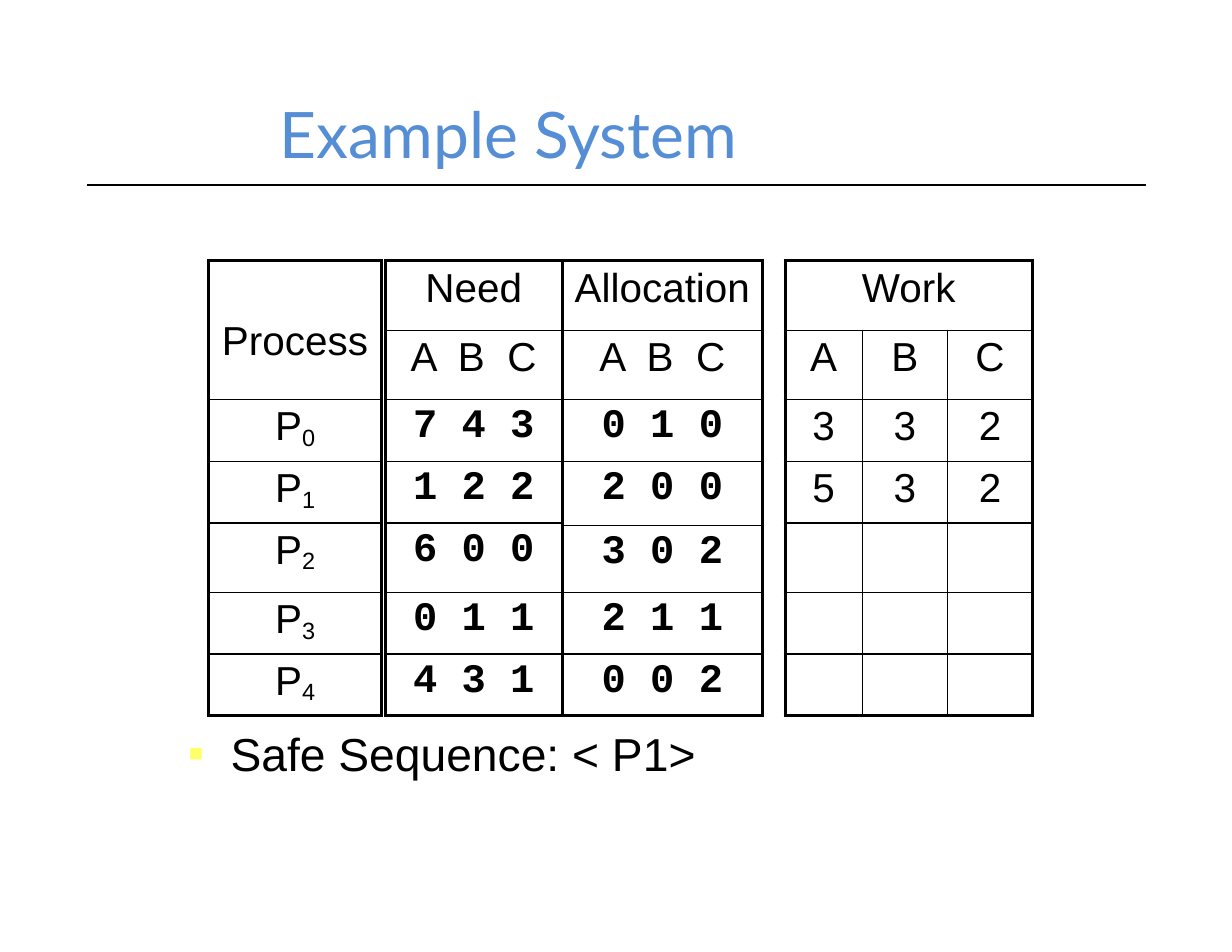
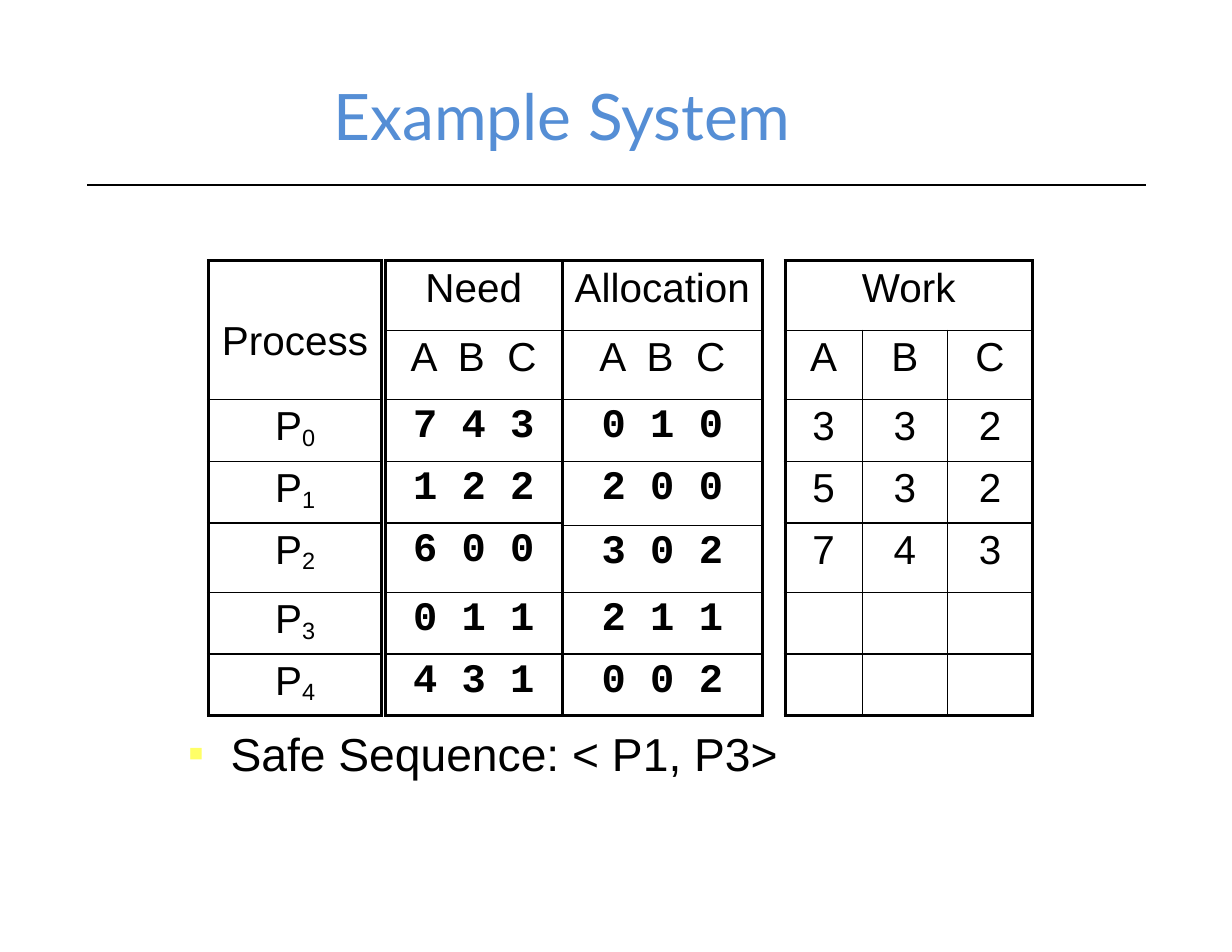
import pptx
import pptx.util
import pptx.dml.color
import pptx.enum.shapes
import pptx.enum.text
import pptx.oxml.ns
import lxml.etree

Inches = pptx.util.Inches
Pt = pptx.util.Pt
ALIGN = pptx.enum.text.PP_ALIGN
MIDDLE = pptx.enum.text.MSO_ANCHOR.MIDDLE

COLORS = {"ink": "000000", "title": "558ED5", "bullet": "FFFF66"}
TOP = 2.33
TALL, LOW = 0.62, 0.55
ROWS = [TALL, TALL, LOW, LOW, TALL, LOW, LOW]
THICK, THIN = 2.25, 1
NEED = ["7 4 3", "1 2 2", "6 0 0", "0 1 1", "4 3 1"]
ALLOC = ["0 1 0", "2 0 0", "3 0 2", "2 1 1", "0 0 2"]


def add_node(parent, tag, **attrs):
    return lxml.etree.SubElement(parent, pptx.oxml.ns.qn(tag), **attrs)


def write(para, text, size=26, font="Arial", color="ink", bold=False, base=0):
    run = para.add_run()
    run.text = text
    run.font.size = Pt(size)
    run.font.name = font
    run.font.bold = bold
    run.font.color.rgb = pptx.dml.color.RGBColor.from_string(COLORS[color])
    if base:
        run.font._element.set("baseline", str(base * 1000))


def add_edge(cell, side, width):
    props = cell._tc.get_or_add_tcPr()
    line = add_node(props, f"a:ln{side}", w=str(Pt(width)))
    fill = add_node(line, "a:solidFill")
    add_node(fill, "a:srgbClr", val=COLORS["ink"])


def frame(cell, row, col, rows, cols):
    outer = {
        "L": col == 0,
        "R": col + cell.span_width >= cols if cell.is_merge_origin else col == cols - 1,
        "T": row == 0,
        "B": row == rows - 1,
    }
    for side, edge in outer.items():
        add_edge(cell, side, THICK if edge else THIN)
    cell.fill.background()
    cell.margin_left = cell.margin_right = Inches(0.08)
    cell.margin_top = cell.margin_bottom = Inches(0.04)


def add_grid(slide, left, widths, heights, cells, merge=False):
    rows, cols = len(heights), len(widths)
    grid = slide.shapes.add_table(
        rows, cols, Inches(left), Inches(TOP),
        Inches(sum(widths)), Inches(sum(heights))).table
    grid.first_row = grid.horz_banding = False
    for col, width in zip(grid.columns, widths):
        col.width = Inches(width)
    for row, height in zip(grid.rows, heights):
        row.height = Inches(height)
    if merge:
        grid.cell(0, 0).merge(grid.cell(0, cols - 1))
    for r in range(rows):
        for c in range(cols):
            cell = grid.cell(r, c)
            frame(cell, r, c, rows, cols)
            para = cell.text_frame.paragraphs[0]
            para.alignment = ALIGN.CENTER
            if r < len(cells) and c < len(cells[r]):
                for text, style in cells[r][c]:
                    write(para, text, **style)
    return grid


def plain(text):
    return [(text, {})]


def add_names(slide):
    cells = [[plain("Process")]]
    cells += [[[("P", {}), (str(n), {"base": -14})]] for n in range(5)]
    grid = add_grid(slide, 1.86, [1.55], [2 * TALL] + ROWS[2:], cells)
    grid.cell(0, 0).margin_top = Inches(0.52)


def add_counts(slide, head, left, width, heights, counts):
    mono = {"font": "Courier New", "bold": True}
    cells = [[plain(head)], [plain("A  B  C")]]
    cells += [[[(count, mono)]] for count in counts]
    add_grid(slide, left, [width], heights, cells)


def add_work(slide, work):
    cells = [[plain("Work")]]
    cells += [[plain(mark) for mark in row] for row in ["ABC"] + work]
    add_grid(slide, 7.01, [0.69, 0.76, 0.76], ROWS, cells, merge=True)


def add_rule(slide):
    rule = slide.shapes.add_connector(
        pptx.enum.shapes.MSO_CONNECTOR.STRAIGHT,
        Inches(0.78), Inches(1.65), Inches(10.23), Inches(1.65))
    rule.line.width = Pt(1.25)
    rule.line.color.rgb = pptx.dml.color.RGBColor.from_string(COLORS["ink"])
    add_node(rule._element.spPr, "a:effectLst")


def add_title(slide, text, left, top):
    title = slide.shapes.title
    title.left, title.top = Inches(left), Inches(top)
    title.width, title.height = Inches(7.42), Inches(0.71)
    body = title.text_frame
    body.vertical_anchor = MIDDLE
    body.paragraphs[0].alignment = ALIGN.CENTER
    write(body.paragraphs[0], text, size=41.2, font="Lato", color="title")


def add_bullet(slide, text):
    box = slide.shapes.add_textbox(
        Inches(1.58), Inches(6.52), Inches(7.91), Inches(0.69))
    box.text_frame.word_wrap = True
    para = box.text_frame.paragraphs[0]
    para.line_spacing = 0.8
    props = para._p.get_or_add_pPr()
    props.set("marL", str(Inches(0.38)))
    props.set("indent", str(-Inches(0.38)))
    color = add_node(props, "a:buClr")
    add_node(color, "a:srgbClr", val=COLORS["bullet"])
    add_node(props, "a:buFont", typeface="Arial")
    add_node(props, "a:buChar", char="▪")
    write(para, text, size=29.7)


def add_step(deck, spot, work, order):
    slide = deck.slides.add_slide(deck.slide_layouts[5])
    add_rule(slide)
    add_title(slide, "Example System", *spot)
    add_names(slide)
    add_work(slide, work)
    shifted = ROWS[:3] + [0.57, 0.6] + ROWS[5:]
    add_counts(slide, "Allocation", 5.02, 1.79, shifted, ALLOC)
    add_counts(slide, "Need", 3.44, 1.58, ROWS, NEED)
    add_bullet(slide, f"Safe Sequence: < {order}>")


def main():
    deck = pptx.Presentation()
    deck.slide_width, deck.slide_height = Inches(11), Inches(8.5)
    add_step(deck, (0.83, 0.83), ["332", "532"], "P1")
    add_step(deck, (1.31, 0.67), ["332", "532", "743"], "P1, P3")
    deck.save("out.pptx")


if __name__ == "__main__":
    main()
